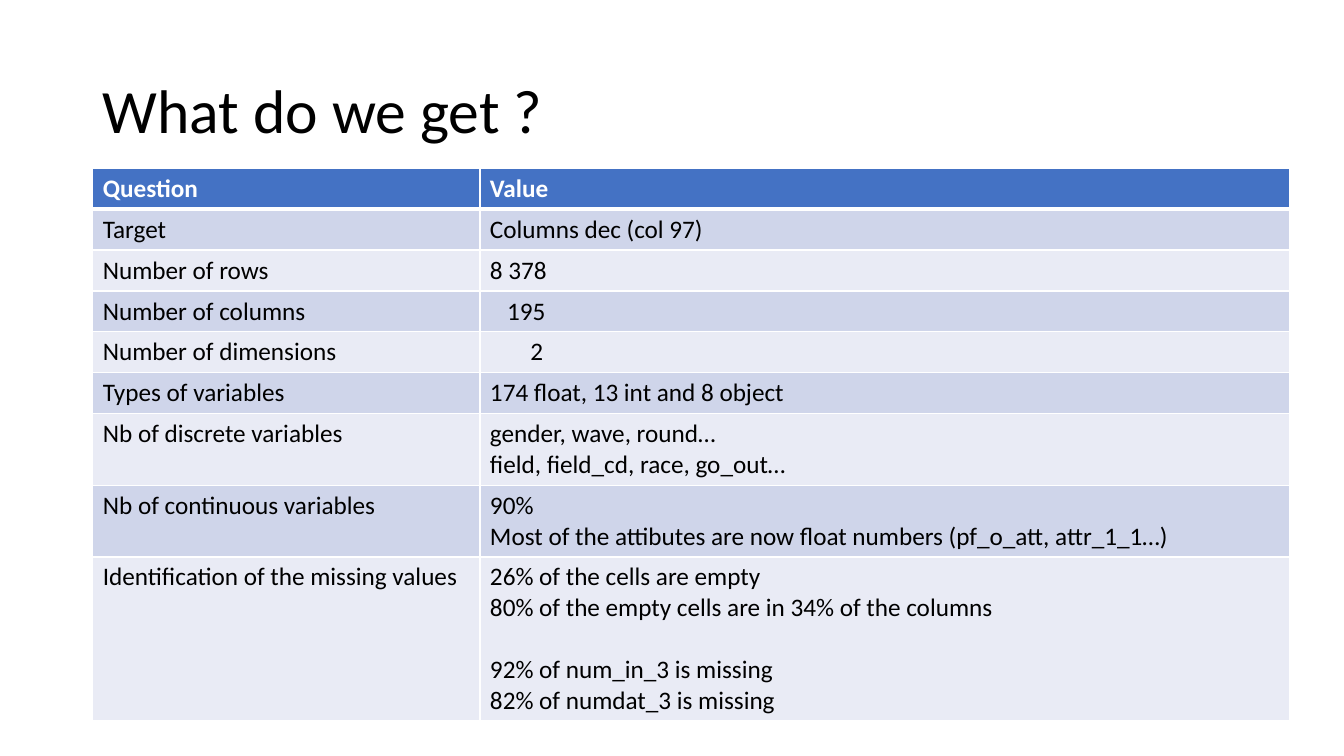
from lxml.etree import SubElement
from pptx import Presentation
from pptx.dml.color import RGBColor
from pptx.enum.text import MSO_ANCHOR, PP_ALIGN
from pptx.oxml.ns import qn
from pptx.util import Inches, Pt

WHITE = RGBColor(0xFF, 0xFF, 0xFF)
BLACK = RGBColor(0x00, 0x00, 0x00)
BLUE = RGBColor(0x44, 0x72, 0xC4)
BAND_DARK = RGBColor(0xCF, 0xD5, 0xEA)
BAND_LIGHT = RGBColor(0xE9, 0xEB, 0xF5)
FONT = "Calibri"
LEFT = Inches(0.92)
COLS = [Inches(3.84), Inches(8.03)]
PAD = Pt(7.2)
LINE = Pt(22)

ROWS = [
    ("Question", "Value"),
    ("Target", "Columns dec (col 97)"),
    ("Number of rows", "8 378"),
    ("Number of columns", "195"),
    ("Number of dimensions", "2"),
    ("Types of variables", "174 float, 13 int and 8 object"),
    ("Nb of discrete variables", "gender, wave, round…\vfield, field_cd, race, go_out…"),
    ("Nb of continuous variables",
     "90%\vMost of the attibutes are now float numbers (pf_o_att, attr_1_1…)"),
    ("Identification of the missing values",
     "26% of the cells are empty\n80% of the empty cells are in 34% of the columns\n"
     "92% of num_in_3 is missing\n82% of numdat_3 is missing"),
]
HEIGHTS = [PAD + n * LINE for n in (1, 1, 1, 1, 1, 1, 2, 2, 5)]
INDENTS = {"195": Inches(0.17), "2": Inches(0.4)}


def add_border(cell, side, width):
    ln = SubElement(cell._tc.get_or_add_tcPr(), qn(f"a:{side}"), w=str(Pt(width)))
    SubElement(SubElement(ln, qn("a:solidFill")), qn("a:srgbClr"), val=str(WHITE))


def style_runs(p, size, color, bold):
    for r in p.runs:
        r.font.name = FONT
        r.font.size = Pt(size)
        r.font.bold = bold
        r.font.color.rgb = color


prs = Presentation()
prs.slide_width, prs.slide_height = Inches(13.33), Inches(7.5)
s = prs.slides.add_slide(prs.slide_layouts[5])

title = s.shapes.title
title.left, title.top = LEFT, Inches(0.4)
title.width, title.height = Inches(11.5), Inches(1.45)
tf = title.text_frame
tf.text = "What do we get ?"
tf.vertical_anchor = MSO_ANCHOR.MIDDLE
p = tf.paragraphs[0]
p.alignment = PP_ALIGN.LEFT
p.line_spacing = 0.9
style_runs(p, 44, BLACK, False)

table = s.shapes.add_table(
    len(ROWS), len(COLS), LEFT, Inches(1.67), sum(COLS), sum(HEIGHTS)).table
for col, width in zip(table.columns, COLS):
    col.width = width

for i, (texts, height) in enumerate(zip(ROWS, HEIGHTS)):
    table.rows[i].height = height
    header = i == 0
    fill = BLUE if header else BAND_DARK if i % 2 else BAND_LIGHT
    for j, text in enumerate(texts):
        cell = table.cell(i, j)
        for side, width in (("lnL", 1), ("lnR", 1),
                            ("lnT", 3 if i == 1 else 1), ("lnB", 3 if header else 1)):
            add_border(cell, side, width)
        cell.fill.solid()
        cell.fill.fore_color.rgb = fill
        cell.margin_left = PAD + INDENTS.get(text, 0)
        cell.text_frame.text = text
        for p in cell.text_frame.paragraphs:
            style_runs(p, 18, WHITE if header else BLACK, header)

table.cell(len(ROWS) - 1, 1).text_frame.paragraphs[2].space_before = LINE

prs.save("out.pptx")
